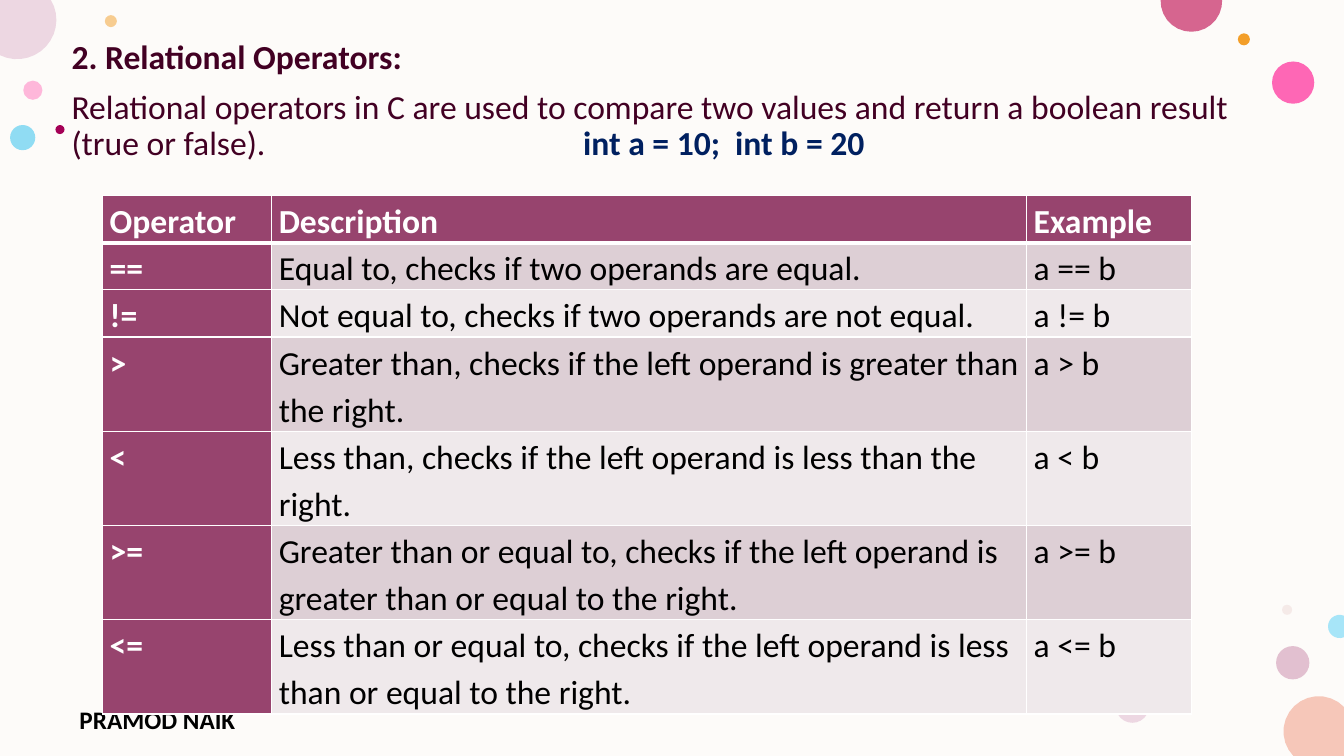
from math import cos, radians, sin

from lxml.etree import SubElement
from pptx import Presentation
from pptx.dml.color import RGBColor
from pptx.enum.shapes import MSO_SHAPE
from pptx.enum.text import MSO_ANCHOR, PP_ALIGN
from pptx.oxml.ns import qn
from pptx.util import Pt

SLIDE_W, SLIDE_H = 960, 540
FONT = "Calibri"
WHITE, BLACK, CREAM = "FFFFFF", "000000", "FDFBF9"
PLUM, MAROON, NAVY = "97446E", "420023", "002060"
BANDS = ["DDCFD5", "EFE9EB"]

# left, top, diameter, colour, opacity in percent
DOTS = [
    (16.6, 57.6, 13.7, "FF75BD", 50),
    (74.9, 10.8, 8.6, "F39E29", 50),
    (911.5, 461.5, 23.8, "C987A8", 50),
    (7.2, 89.3, 18, "24BEEE", 50),
    (908.6, 43.9, 30.2, "FF2F9C", 72),
    (884.2, 23.8, 8.6, "F39E29", 100),
    (915.8, 432, 7.2, "E3BEBE", 28),
    (797, 492.5, 23.8, "EDD7E2", 100),
    (39.6, 89.3, 6.5, "A40056", 100),
]
# centre x, centre y, radius, first and last angle, colour, slide corner inside
EDGE_DOTS = [
    (942, 522.5, 25.2, 136, 316, "F6C7B9", [(SLIDE_W, SLIDE_H)]),
    (12.2, 14.2, 28.1, -31, 116, "EDD7E2", [(0, 0)]),
    (851, 0.7, 22, -2, 182, "D6658F", []),
    (956.9, 447.5, 8.3, 68, 292, "A7E5F8", []),
]

COLUMN_WIDTHS = [120.8, 539.2, 118]
ROW_HEIGHTS = [32.4] * 3 + [66.2] * 4
OPERATORS = [
    ("Operator", "Description", "Example"),
    ("==", "Equal to, checks if two operands are equal.", "a == b"),
    ("!=", "Not equal to, checks if two operands are not equal.", "a != b"),
    (">", "Greater than, checks if the left operand is greater than the right.", "a > b"),
    ("<", "Less than, checks if the left operand is less than the right.", "a < b"),
    (">=", "Greater than or equal to, checks if the left operand is greater than "
           "or equal to the right.", "a >= b"),
    ("<=", "Less than or equal to, checks if the left operand is less than "
           "or equal to the right.", "a <= b"),
]


def rgb(hex_colour):
    return RGBColor.from_string(hex_colour)


def write(paragraph, text, size=24, colour=BLACK, bold=False,
          line=None, before=None, after=None):
    """Add a run to the paragraph and format both."""
    run = paragraph.add_run()
    run.text = text
    run.font.name = FONT
    run.font.size = Pt(size)
    run.font.bold = bold
    run.font.color.rgb = rgb(colour)
    paragraph.alignment = PP_ALIGN.LEFT
    if line is not None:
        paragraph.line_spacing = line
    if before is not None:
        paragraph.space_before = Pt(before)
    if after is not None:
        paragraph.space_after = Pt(after)


def paint(shape, colour, opacity=100):
    shape.shadow.inherit = False
    shape.line.fill.background()
    shape.fill.solid()
    shape.fill.fore_color.rgb = rgb(colour)
    if opacity < 100:
        tint = shape.element.spPr.find(qn("a:solidFill"))[0]
        SubElement(tint, qn("a:alpha"), val=str(opacity * 1000))


def add_preset(slide, preset, left, top, width, height, colour, opacity=100):
    shape = slide.shapes.add_shape(preset, Pt(left), Pt(top), Pt(width), Pt(height))
    paint(shape, colour, opacity)


def add_edge_dot(slide, x, y, radius, first, last, colour, corner, steps=14):
    """Draw a circle cut off at the slide's edges."""
    angles = [radians(first + (last - first) * i / steps) for i in range(steps + 1)]
    arc = [(x + radius * cos(a), y + radius * sin(a)) for a in angles]
    outline = [(Pt(min(max(px, 0), SLIDE_W)), Pt(min(max(py, 0), SLIDE_H)))
               for px, py in arc + corner]
    builder = slide.shapes.build_freeform(*outline[0])
    builder.add_line_segments(outline[1:], close=True)
    paint(builder.convert_to_shape(), colour)


def add_author(slide):
    author = slide.shapes.add_textbox(Pt(49.7), Pt(499.7), Pt(176.4), Pt(23))
    author.text_frame.word_wrap = True
    write(author.text_frame.paragraphs[0], "PRAMOD NAIK", size=18, bold=True)


def remove_bullet(paragraph):
    properties = paragraph._p.get_or_add_pPr()
    properties.set("marL", "0")
    properties.set("indent", "0")
    SubElement(properties, qn("a:buNone"))


def fill_introduction(slide):
    introduction = slide.placeholders[1]
    introduction.left, introduction.top = Pt(43.9), Pt(25.2)
    introduction.width, introduction.height = Pt(888.5), Pt(445)
    # Bring the text in front of the dots
    slide.shapes.element.append(introduction.element)
    frame = introduction.text_frame
    frame.word_wrap = True
    frame.vertical_anchor = MSO_ANCHOR.TOP
    heading, summary = frame.paragraphs[0], frame.add_paragraph()
    spacing = {"line": 0.9, "before": 10}
    write(heading, "2. Relational Operators:", colour=MAROON, bold=True, **spacing)
    # The declarations stand at the seventh default tab stop after the sentence
    write(summary, "Relational operators in C are used to compare two values and "
                   "return a boolean result (true or false)." + "\t" * 7,
          colour=MAROON, **spacing)
    write(summary, " int a = 10;  int b = 20", colour=NAVY, bold=True)
    remove_bullet(heading)
    remove_bullet(summary)


def set_borders(cell, widths):
    """Give the cell white borders; widths maps sides L, R, T, B to points."""
    properties = cell._tc.get_or_add_tcPr()
    for position, (side, width) in enumerate(widths.items()):
        border = SubElement(properties, qn(f"a:ln{side}"), w=str(Pt(width)))
        fill = SubElement(border, qn("a:solidFill"))
        SubElement(fill, qn("a:srgbClr"), val=WHITE)
        properties.insert(position, border)


def add_operator_table(slide):
    table = slide.shapes.add_table(
        len(OPERATORS), len(COLUMN_WIDTHS), Pt(73.4), Pt(139.7),
        Pt(sum(COLUMN_WIDTHS)), Pt(sum(ROW_HEIGHTS))).table
    table.first_col = True
    for column, width in zip(table.columns, COLUMN_WIDTHS):
        column.width = Pt(width)
    for r, texts in enumerate(OPERATORS):
        table.rows[r].height = Pt(ROW_HEIGHTS[r])
        for c, text in enumerate(texts):
            cell = table.cell(r, c)
            is_header = r == 0 or c == 0
            cell.margin_left = cell.margin_right = Pt(5)
            cell.margin_top = cell.margin_bottom = 0
            cell.fill.solid()
            cell.fill.fore_color.rgb = rgb(PLUM if is_header else BANDS[(r - 1) % 2])
            set_borders(cell, {"L": 1, "R": 1, "T": 1, "B": 3 if r == 0 else 1})
            write(cell.text_frame.paragraphs[0], text, bold=is_header,
                  colour=WHITE if is_header else BLACK, line=1.15, after=8)


def main():
    deck = Presentation()
    deck.slide_width, deck.slide_height = Pt(SLIDE_W), Pt(SLIDE_H)
    slide = deck.slides.add_slide(deck.slide_layouts[1])
    # The heading belongs to the body text, so the title stays unused
    slide.shapes.element.remove(slide.shapes.title.element)
    add_preset(slide, MSO_SHAPE.RECTANGLE, 0, 0, SLIDE_W, SLIDE_H, CREAM)
    for left, top, diameter, colour, opacity in DOTS:
        add_preset(slide, MSO_SHAPE.OVAL, left, top, diameter, diameter, colour, opacity)
    for edge_dot in EDGE_DOTS:
        add_edge_dot(slide, *edge_dot)
    add_author(slide)
    fill_introduction(slide)
    add_operator_table(slide)
    deck.save("out.pptx")


if __name__ == "__main__":
    main()
